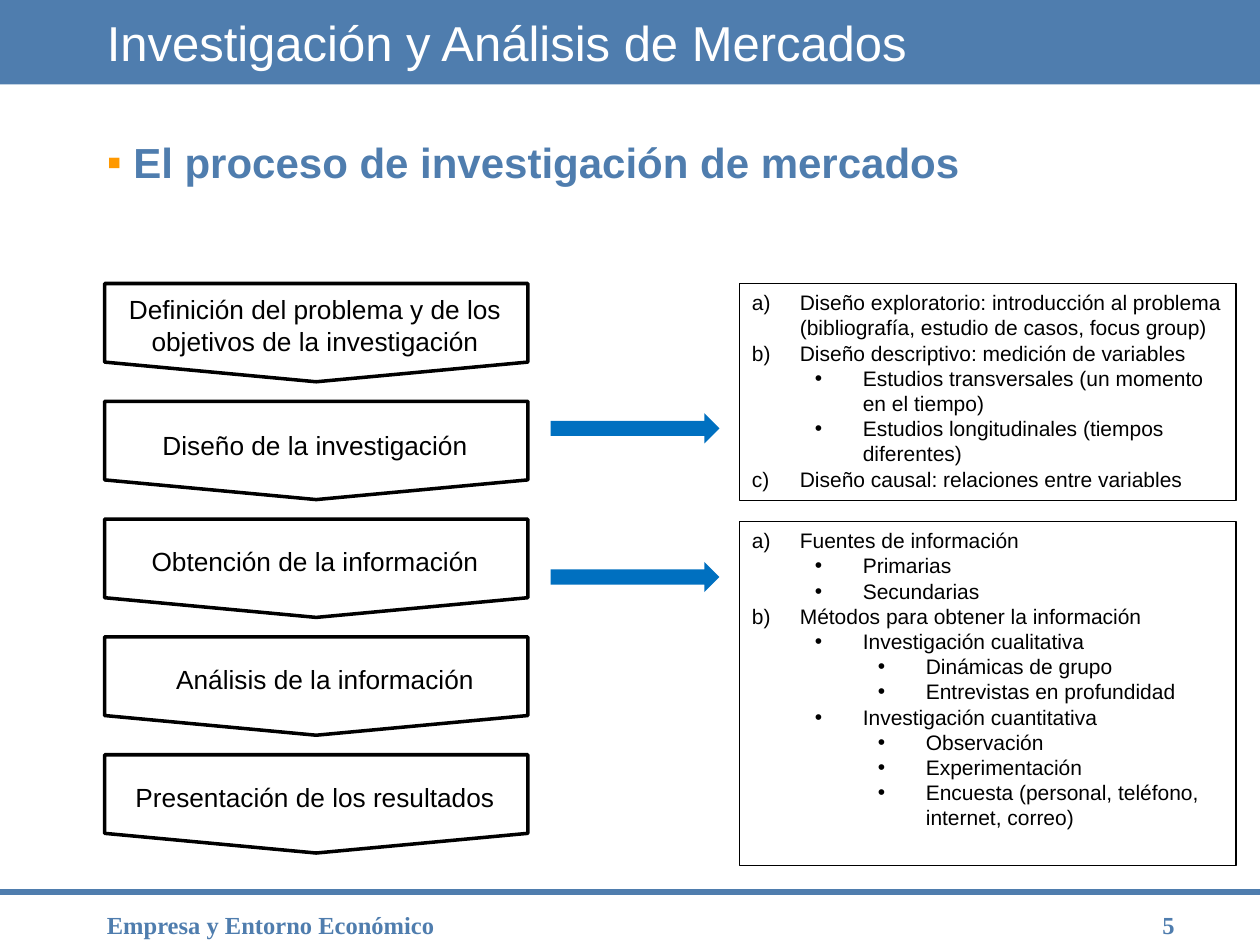
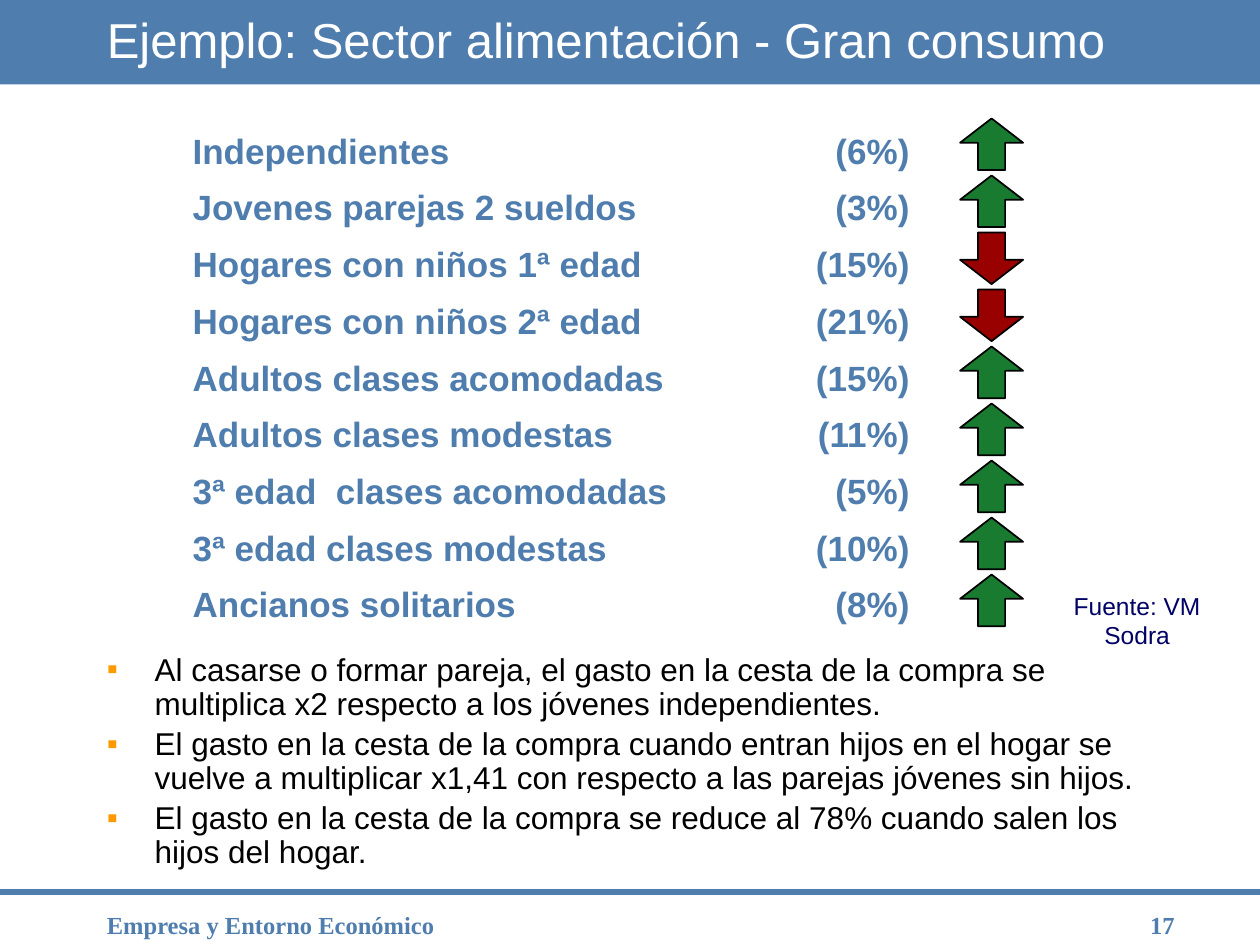
from lxml import etree
from pptx import Presentation
from pptx import util as u
from pptx.dml.color import RGBColor
from pptx.enum import shapes, text
from pptx.oxml.ns import qn

# Content
FOOTER = "Empresa y Entorno Económico"

PROCESS_TITLE = "Investigación y Análisis de Mercados"
PROCESS_HEADING = "El proceso de investigación de mercados"
# label, left, drop below the top of the step, height
STEPS = [
    ("Definición del problema y de los objetivos de la investigación", 0.9, 0.03, 0.61),
    ("Diseño de la investigación", 0.9, 0.17, 0.35),
    ("Obtención de la información", 0.9, 0.16, 0.35),
    ("Análisis de la información", 0.98, 0.16, 0.35),
    ("Presentación de los resultados", 0.9, 0.16, 0.35),
]
# Outline entries: level, wording
DESIGN_TYPES = [
    (0, "Diseño exploratorio: introducción al problema (bibliografía, estudio de casos, focus group)"),
    (0, "Diseño descriptivo: medición de variables"),
    (1, "Estudios transversales (un momento en el tiempo)"),
    (1, "Estudios longitudinales (tiempos diferentes)"),
    (0, "Diseño causal: relaciones entre variables"),
]
INFORMATION_TYPES = [
    (0, "Fuentes de información"),
    (1, "Primarias"),
    (1, "Secundarias"),
    (0, "Métodos para obtener la información"),
    (1, "Investigación cualitativa"),
    (2, "Dinámicas de grupo"),
    (2, "Entrevistas en profundidad"),
    (1, "Investigación cuantitativa"),
    (2, "Observación"),
    (2, "Experimentación"),
    (2, "Encuesta (personal, teléfono, internet, correo)"),
]
# outline, top and height of its frame, top of the arrow towards it
DETAILS = [(DESIGN_TYPES, 2.25, 1.72, 3.28), (INFORMATION_TYPES, 4.14, 2.73, 4.46)]

EXAMPLE_TITLE = "Ejemplo: Sector alimentación - Gran consumo"
# household, share, spending rises
HOUSEHOLDS = [
    ("Independientes", "(6%)", True),
    ("Jovenes parejas 2 sueldos", "(3%)", True),
    ("Hogares con niños 1ª edad", "(15%)", False),
    ("Hogares con niños 2ª edad", "(21%)", False),
    ("Adultos clases acomodadas", "(15%)", True),
    ("Adultos clases modestas", "(11%)", True),
    ("3ª edad  clases acomodadas", "(5%)", True),
    ("3ª edad clases modestas", "(10%)", True),
    ("Ancianos solitarios", "(8%)", True),
]
SOURCE = "Fuente: VM Sodra"
FINDINGS = [
    "Al casarse o formar pareja, el gasto en la cesta de la compra se multiplica x2 "
    "respecto a los jóvenes independientes.",
    "El gasto en la cesta de la compra cuando entran hijos en el hogar se vuelve a "
    "multiplicar x1,41 con respecto a las parejas jóvenes sin hijos.",
    "El gasto en la cesta de la compra se reduce al 78% cuando salen los hijos del hogar.",
]

# Shared look
COLORS = {"brand": "4F7DAE", "white": "FFFFFF", "black": "000000", "bullet": "FF9900",
          "pointer": "0070C0", "up": "197B30", "down": "990000", "source": "000066"}
WIDTH, HEIGHT = 10, 7.5
MARGIN, CONTENT = 0.75, 8.5
FORM = shapes.MSO_SHAPE
ALIGN = text.PP_ALIGN


def color(name):
    return RGBColor.from_string(COLORS[name])


def spread(first, last, count):
    """Evenly spaced positions from first to last."""
    return [first + (last - first) * i / (count - 1) for i in range(count)]


def add_form(parent, kind, area, fill=None, line=None, weight=1):
    form = parent.shapes.add_shape(kind, *map(u.Inches, area))
    form.shadow.inherit = False
    if fill:
        form.fill.solid()
        form.fill.fore_color.rgb = color(fill)
    else:
        form.fill.background()
    if line:
        form.line.color.rgb = color(line)
        form.line.width = u.Pt(weight)
    else:
        form.line.fill.background()
    return form


def add_mark(para, mark, tint=None):
    """Bullet character, or letters when mark is 'a)'."""
    properties = para._p.get_or_add_pPr()
    if tint:
        holder = etree.SubElement(properties, qn("a:buClr"))
        etree.SubElement(holder, qn("a:srgbClr"), val=COLORS[tint])
    etree.SubElement(properties, qn("a:buFont"), typeface="Arial")
    if mark == "a)":
        etree.SubElement(properties, qn("a:buAutoNum"), type="alphaLcParenR")
    else:
        etree.SubElement(properties, qn("a:buChar"), char=mark)


def write(box, lines, size, tint="black", font="Arial", bold=False, align=ALIGN.LEFT,
          anchor=text.MSO_ANCHOR.TOP, inset=(0.1, 0.05), spacing=None, before=0,
          mark=None, mark_tint=None, hang=0.38, tab=None):
    """Fill a box with lines, each a string or a (level, string) outline entry."""
    frame = box.text_frame
    frame.word_wrap = True
    frame.vertical_anchor = anchor
    frame.margin_left = frame.margin_right = u.Inches(inset[0])
    frame.margin_top = frame.margin_bottom = u.Inches(inset[1])
    for index, line in enumerate(lines):
        level, words = line if isinstance(line, tuple) else (0, line)
        para = frame.paragraphs[0] if index == 0 else frame.add_paragraph()
        para.alignment, para.level = align, level
        para.space_before = u.Pt(before)
        if spacing:
            para.line_spacing = spacing
        properties = para._p.get_or_add_pPr()
        if mark:
            properties.set("marL", str(u.Inches(hang + level / 2)))
            properties.set("indent", str(-u.Inches(hang)))
            add_mark(para, "•" if level else mark, mark_tint)
        if tab:
            stops = etree.SubElement(properties, qn("a:tabLst"))
            etree.SubElement(stops, qn("a:tab"), pos=str(u.Inches(tab)), algn="r")
        span = para.add_run()
        span.text = words
        span.font.name, span.font.size, span.font.bold = font, u.Pt(size), bold
        span.font.color.rgb = color(tint)


def add_text(page, area, lines, size, **look):
    write(page.shapes.add_textbox(*map(u.Inches, area)), lines, size, **look)


def add_page(deck, title, number, title_height):
    """Blank page with title band, footer rule, footer and page number."""
    page = deck.slides.add_slide(deck.slide_layouts[6])
    add_form(page, FORM.RECTANGLE, (0, 0, WIDTH, 0.67), fill="brand")
    rule = page.shapes.add_connector(shapes.MSO_CONNECTOR.STRAIGHT, 0, u.Inches(7.08),
                                     u.Inches(WIDTH), u.Inches(7.08))
    rule.line.color.rgb, rule.line.width = color("brand"), u.Pt(3)
    etree.SubElement(rule._element.spPr, qn("a:effectLst"))
    footer = dict(size=14, tint="brand", font="Times New Roman", bold=True)
    add_text(page, (8.67, 7.17, 0.75, 0.25), [str(number)], align=ALIGN.RIGHT, **footer)
    add_text(page, (MARGIN, 7.17, 4.67, 0.25), [FOOTER], **footer)
    add_text(page, (MARGIN, 0, CONTENT, title_height), [title], 28, tint="white",
             anchor=text.MSO_ANCHOR.MIDDLE)
    return page


def build_process(deck):
    page = add_page(deck, PROCESS_TITLE, 5, 0.67)
    add_text(page, (MARGIN, 1.08, CONTENT, 5.67), [PROCESS_HEADING], 24, tint="brand",
             bold=True, spacing=0.9, before=4.8, mark="▪", mark_tint="bullet", hang=0.21)

    # Steps of the process: label under an outlined pennant
    for (label, left, drop, height), top in zip(STEPS, spread(2.25, 5.99, len(STEPS))):
        step = page.shapes.add_group_shape()
        plate = add_form(step, FORM.RECTANGLE, (left, top + drop, 3.2, height), fill="white")
        write(plate, [label], 15, align=ALIGN.CENTER)
        add_form(step, FORM.FLOWCHART_OFFPAGE_CONNECTOR, (0.83, top, 3.36, 0.78),
                 line="black", weight=2)

    # Details and the arrows that lead to them
    for outline, top, height, arrow_top in DETAILS:
        frame = add_form(page, FORM.RECTANGLE, (5.87, top, 3.94, height),
                         line="black", weight=0.75)
        write(frame, outline, 12, mark="a)")
        add_form(page, FORM.RIGHT_ARROW, (4.37, arrow_top, 1.34, 0.24), fill="pointer")


def build_example(deck):
    page = add_page(deck, EXAMPLE_TITLE, 17, 0.62)

    # Household types with their share and trend
    add_text(page, (1.43, 0.86, 5.91, 4.15),
             [f"{household}\t{share}" for household, share, _ in HOUSEHOLDS], 20,
             tint="brand", bold=True, spacing=1.35, tab=5.69)
    for (_, _, rises), top in zip(HOUSEHOLDS, spread(0.94, 4.56, len(HOUSEHOLDS))):
        arrow = add_form(page, FORM.UP_ARROW if rises else FORM.DOWN_ARROW,
                         (7.62, top, 0.5, 0.41), fill="up" if rises else "down", line="black")
        arrow.adjustments[0], arrow.adjustments[1] = 0.43, 0.47
    add_text(page, (8.28, 4.69, 1.49, 0.23), [SOURCE], 14, tint="source",
             align=ALIGN.CENTER, inset=(0, 0), before=2.8)

    # Findings
    add_text(page, (MARGIN, 5.14, CONTENT, 1.89), FINDINGS, 18, spacing=0.9, before=3.6,
             mark="▪", mark_tint="bullet")


def main():
    deck = Presentation()
    deck.slide_width, deck.slide_height = u.Inches(WIDTH), u.Inches(HEIGHT)
    build_process(deck)
    build_example(deck)
    deck.save("out.pptx")


if __name__ == "__main__":
    main()
